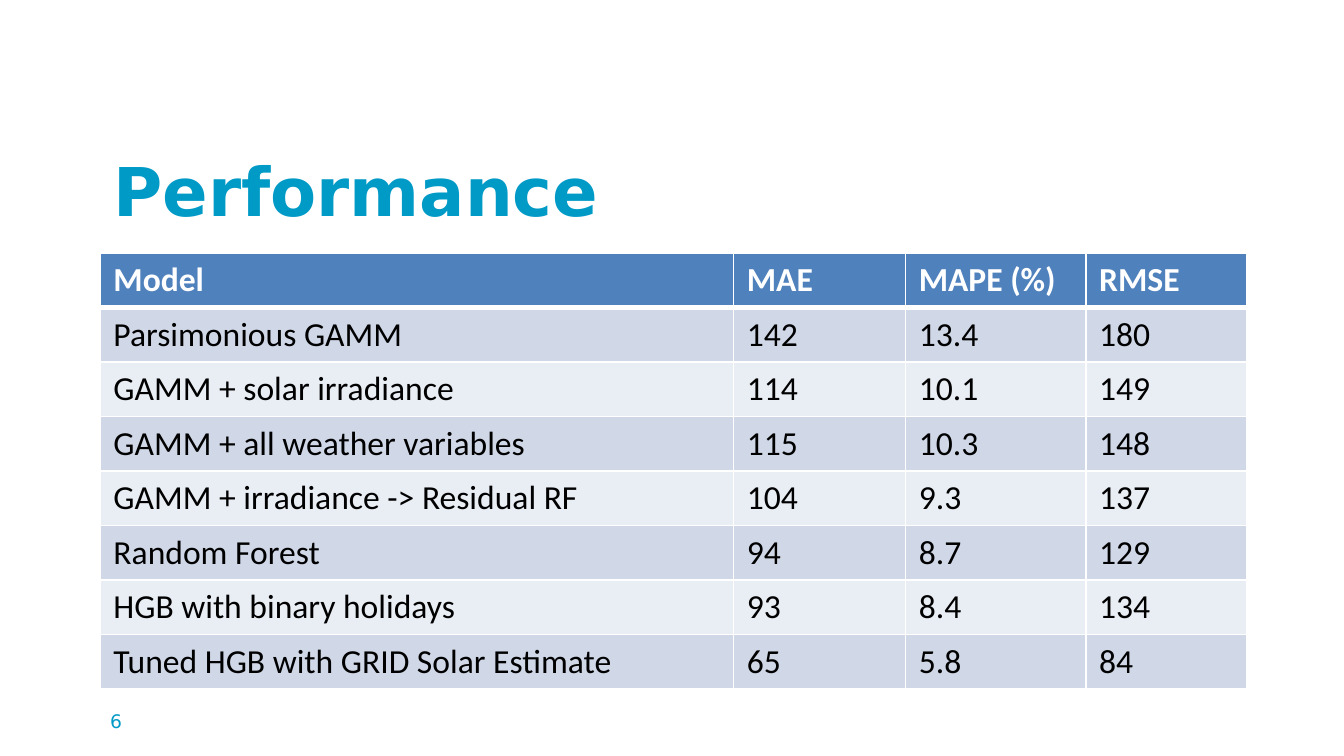
from dataclasses import dataclass

from lxml import etree
from pptx import Presentation
from pptx import util as u
from pptx.dml.color import RGBColor
from pptx.enum import text
from pptx.oxml import ns


@dataclass(frozen=True)
class Theme:
    accent: str = "009AC7"
    head: str = "4F81BD"
    odd: str = "D0D8E8"
    even: str = "E9EDF4"
    light: str = "FFFFFF"
    dark: str = "000000"
    sans: str = "DejaVu Sans"
    body: str = "Calibri"
    title: int = 36
    cell: int = 18
    note: int = 10
    thin: int = 1
    thick: int = 3


@dataclass(frozen=True)
class Score:
    model: str
    mae: str
    mape: str
    rmse: str

    def texts(self) -> tuple[str, ...]:
        return self.model, self.mae, self.mape, self.rmse


THEME = Theme()
SCORES = [
    Score("Model", "MAE", "MAPE (%)", "RMSE"),
    Score("Parsimonious GAMM", "142", "13.4", "180"),
    Score("GAMM + solar irradiance", "114", "10.1", "149"),
    Score("GAMM + all weather variables", "115", "10.3", "148"),
    Score("GAMM + irradiance -> Residual RF", "104", "9.3", "137"),
    Score("Random Forest", "94", "8.7", "129"),
    Score("HGB with binary holidays", "93", "8.4", "134"),
    Score("Tuned HGB with GRID Solar Estimate", "65", "5.8", "84"),
]
WIDTHS = (11.97, 3.25, 3.41, 3.05)
PITCH = 1.03


def write(frame, words: str, *, font: str, size: int, color: str,
          bold: bool = False, after: int = 0) -> None:
    frame.word_wrap = True
    para = frame.paragraphs[0]
    para.alignment = text.PP_ALIGN.LEFT
    para.space_after = u.Pt(after)
    run = para.add_run()
    run.text = words
    run.font.name = font
    run.font.size = u.Pt(size)
    run.font.bold = bold
    run.font.color.rgb = RGBColor.from_string(color)


def place(shape, left: float, top: float, width: float, height: float) -> None:
    shape.left, shape.top = u.Cm(left), u.Cm(top)
    shape.width, shape.height = u.Cm(width), u.Cm(height)


def edge(cell, side: str, points: int) -> None:
    props = cell._tc.get_or_add_tcPr()
    line = etree.SubElement(props, ns.qn(f"a:ln{side}"), w=str(u.Pt(points)))
    fill = etree.SubElement(line, ns.qn("a:solidFill"))
    etree.SubElement(fill, ns.qn("a:srgbClr"), val=THEME.light)


def draw_cell(cell, words: str, row: int) -> None:
    head = row == 0
    thick = {"B"} if head else {"T"} if row == 1 else set()
    for side in "LRTB":
        edge(cell, side, THEME.thick if side in thick else THEME.thin)
    shade = THEME.head if head else THEME.odd if row % 2 else THEME.even
    cell.fill.solid()
    cell.fill.fore_color.rgb = RGBColor.from_string(shade)
    write(cell.text_frame, words, font=THEME.body, size=THEME.cell,
          color=THEME.light if head else THEME.dark, bold=head)


def draw_table(slide, scores: list[Score]) -> None:
    table = slide.shapes.add_table(
        len(scores), len(WIDTHS), u.Cm(1.89), u.Cm(4.78),
        u.Cm(sum(WIDTHS)), u.Cm(PITCH * len(scores))).table
    for col, width in zip(table.columns, WIDTHS):
        col.width = u.Cm(width)
    for row, score in enumerate(scores):
        table.rows[row].height = u.Cm(PITCH)
        for col, words in enumerate(score.texts()):
            draw_cell(table.cell(row, col), words, row)


def main() -> None:
    deck = Presentation()
    deck.slide_width, deck.slide_height = u.Cm(25.4), u.Cm(14.29)
    slide = deck.slides.add_slide(deck.slide_layouts[5])

    title = slide.shapes.title
    place(title, 1.89, 2.59, 12.14, 2.46)
    title.text_frame.vertical_anchor = text.MSO_ANCHOR.TOP
    title.text_frame.margin_top = u.Cm(0.24)
    write(title.text_frame, "Performance", font=THEME.sans, size=THEME.title,
          color=THEME.accent, bold=True)

    number = slide.shapes.add_textbox(0, 0, 0, 0)
    place(number, 1.83, 13.3, 1.78, 0.99)
    write(number.text_frame, "6", font=THEME.sans, size=THEME.note,
          color=THEME.accent, after=6)

    draw_table(slide, SCORES)
    deck.save("out.pptx")


if __name__ == "__main__":
    main()
